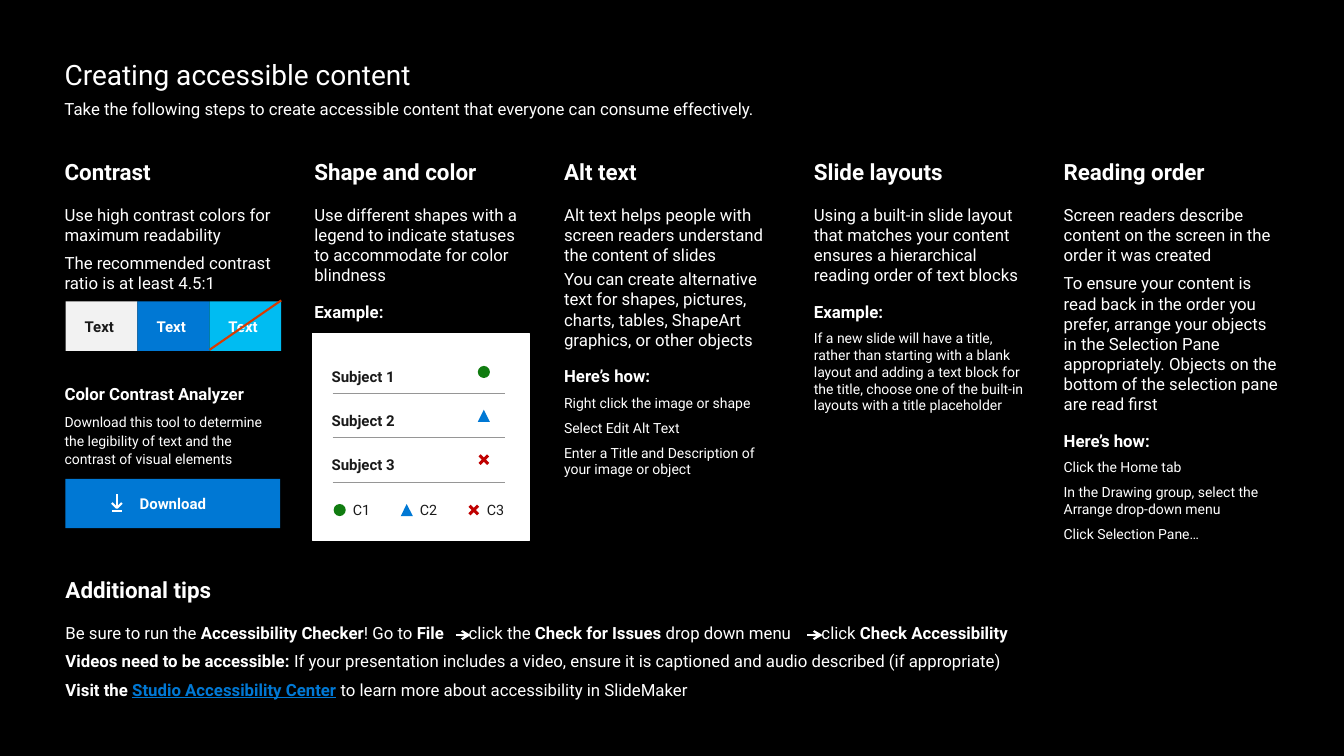
from dataclasses import dataclass
from typing import NamedTuple

from lxml.etree import SubElement
from pptx import Presentation
from pptx.dml.color import RGBColor
from pptx.enum.shapes import MSO_CONNECTOR, MSO_SHAPE as Preset
from pptx.enum.text import MSO_ANCHOR as Anchor, MSO_AUTO_SIZE, PP_ALIGN as Align
from pptx.oxml.ns import qn
from pptx.util import Inches, Pt


@dataclass(frozen=True)
class Theme:
    font: str = "Roboto"
    black: str = "000000"
    white: str = "FFFFFF"
    ink: str = "1A1A1A"
    pale: str = "F2F2F2"
    rule: str = "969696"
    blue: str = "0078D4"
    cyan: str = "00BCF2"
    green: str = "107C10"
    red: str = "C00000"
    orange: str = "D83B01"
    title: float = 20
    heading: float = 16
    body: float = 12
    label: float = 10.7
    legend: float = 10.2
    small: float = 10


class Box(NamedTuple):
    """Left, top, width and height in grid cells."""
    left: float
    top: float
    width: float
    height: float


class Run(NamedTuple):
    text: str
    bold: bool = False
    link: bool = False


class Para(NamedTuple):
    text: str | list[Run]
    style: dict


class Column(NamedTuple):
    heading: str
    height: float
    paras: list[Para]


class Status(NamedTuple):
    subject: str
    code: str
    preset: Preset
    color: str


THEME = Theme()
CELLS_PER_INCH = 10
COLUMN_LEFT, COLUMN_TOP, COLUMN_WIDTH, COLUMN_PITCH = 6.4, 15.7, 21.5, 24.78
HEADING = dict(size=THEME.heading, bold=True, after=6)
LEAD = dict(before=7.8)
NEXT = dict(before=5.8)
SUBHEAD = dict(before=11.6, bold=True)
STEP = dict(before=5.8, size=THEME.small)

COLUMNS = [
    Column("Contrast", 22, [
        Para("Use high contrast colors for maximum readability", LEAD),
        Para("The recommended contrast ratio is at least 4.5:1", NEXT)]),
    Column("Shape and color", 18.8, [
        Para("Use different shapes with a legend to indicate statuses to accommodate "
             "for color blindness", LEAD),
        Para("Example:", SUBHEAD)]),
    Column("Alt text", 38.8, [
        Para("Alt text helps people with screen readers understand the content of slides", LEAD),
        Para("You can create alternative text for shapes, pictures, charts, tables, ShapeArt "
             "graphics, or other objects", dict(before=2.9)),
        Para("Here’s how:", SUBHEAD),
        Para("Right click the image or shape", STEP),
        Para("Select Edit Alt Text", STEP),
        Para("Enter a Title and Description of your image or object", STEP)]),
    Column("Slide layouts", 25.7, [
        Para("Using a built-in slide layout that matches your content ensures a hierarchical "
             "reading order of text blocks", LEAD),
        Para("Example:", SUBHEAD),
        Para("If a new slide will have a title, rather than starting with a blank layout and "
             "adding a text block for the title, choose one of the built-in layouts with a "
             "title placeholder", STEP)]),
    Column("Reading order", 38.8, [
        Para("Screen readers describe content on the screen in the order it was created", LEAD),
        Para("To ensure your content is read back in the order you prefer, arrange your objects "
             "in the Selection Pane appropriately. Objects on the bottom of the selection pane "
             "are read first", NEXT),
        Para("Here’s how:", SUBHEAD),
        Para("Click the Home tab", STEP),
        Para("In the Drawing group, select the Arrange drop-down menu", STEP),
        Para("Click Selection Pane…", STEP)]),
]
TIPS = [
    Para("Additional tips", HEADING),
    Para([Run("Be sure to run the "), Run("Accessibility Checker", True), Run("! Go to "),
          Run("File", True), Run("\tclick the "), Run("Check for Issues ", True),
          Run("drop down menu\tclick "), Run("Check Accessibility", True)],
         dict(before=7.8, tabs=(40.1, 74.5))),
    Para([Run("Videos need to be accessible: ", True),
          Run("If your presentation includes a video, ensure it is captioned and audio "
              "described (if appropriate)")], NEXT),
    Para([Run("Visit the ", True), Run("Studio Accessibility Center", True, True),
          Run(" to learn more about accessibility in SlideMaker")], NEXT),
]
SWATCHES = [(THEME.pale, THEME.ink), (THEME.blue, THEME.white), (THEME.cyan, THEME.white)]
STATUSES = [
    Status("Subject 1", "C1", Preset.OVAL, THEME.green),
    Status("Subject 2", "C2", Preset.ISOSCELES_TRIANGLE, THEME.blue),
    Status("Subject 3", "C3", Preset.CROSS, THEME.red),
]


def cells(count: float) -> int:
    return Inches(count / CELLS_PER_INCH)


def rgb(color: str) -> RGBColor:
    return RGBColor.from_string(color)


def write(frame, text: str | list[Run], *, size: float = THEME.body, bold: bool = False,
          color: str = THEME.white, before: float = 0, after: float = 0, line: float = 1.0,
          align=Align.LEFT, tabs: tuple = ()) -> None:
    """Add one paragraph to the frame, using its empty first one when there is one."""
    para = frame.add_paragraph() if frame.text else frame.paragraphs[0]
    props = para._p.get_or_add_pPr()
    props.set("marL", "0")
    props.set("indent", "0")
    SubElement(props, qn("a:buNone"))
    if tabs:
        stops = SubElement(props, qn("a:tabLst"))
        for stop in tabs:
            SubElement(stops, qn("a:tab"), pos=str(cells(stop)), algn="l")
    para.alignment, para.line_spacing = align, line
    para.space_before, para.space_after = Pt(before), Pt(after)
    for part in [Run(text, bold)] if isinstance(text, str) else text:
        run = para.add_run()
        run.text = part.text
        font = run.font
        font.name, font.size, font.bold = THEME.font, Pt(size), part.bold
        font.underline = part.link
        font.color.rgb = rgb(THEME.blue if part.link else color)


def frame_in(shape, side: float = 0, top: float = 0, bottom: float = 0, anchor=Anchor.TOP):
    frame = shape.text_frame
    frame.word_wrap, frame.auto_size = True, MSO_AUTO_SIZE.NONE
    frame.vertical_anchor = anchor
    frame.margin_left = frame.margin_right = cells(side)
    frame.margin_top, frame.margin_bottom = cells(top), cells(bottom)
    return frame


def add_text(shapes, box: Box, paras: list[Para], holder=None, **margins) -> None:
    """Fill the placeholder given, or a new text box, with paragraphs."""
    place = [cells(length) for length in box]
    holder = holder or shapes.add_textbox(*place)
    holder.left, holder.top, holder.width, holder.height = place
    frame = frame_in(holder, **margins)
    for para in paras:
        write(frame, para.text, **para.style)


def add_preset(shapes, preset: Preset, box: Box, fill: str):
    shape = shapes.add_shape(preset, *[cells(length) for length in box])
    shape.shadow.inherit = False
    shape.fill.solid()
    shape.fill.fore_color.rgb = rgb(fill)
    shape.line.fill.background()
    return shape


def add_mark(shapes, status: Status, left: float, top: float) -> None:
    mark = add_preset(shapes, status.preset, Box(left, top, 1.2, 1.2), status.color)
    if status.preset == Preset.CROSS:
        mark.rotation, mark.adjustments[0] = 45, 0.38


def add_line(shapes, start: tuple, end: tuple, color: str, width: float, arrow=False) -> None:
    line = shapes.add_connector(MSO_CONNECTOR.STRAIGHT, *[cells(v) for v in (*start, *end)])
    line.line.color.rgb, line.line.width = rgb(color), Pt(width)
    if arrow:
        SubElement(line.line._get_or_add_ln(), qn("a:tailEnd"), type="arrow")
    SubElement(line._element.spPr, qn("a:effectLst"))


def add_contrast_swatches(shapes) -> None:
    for i, (fill, ink) in enumerate(SWATCHES):
        swatch = add_preset(shapes, Preset.RECTANGLE, Box(6.5 + 7.13 * i, 29.9, 7.13, 4.9), fill)
        write(frame_in(swatch, 1.9, 1.6, 1.6, Anchor.MIDDLE), "Text",
              size=THEME.label, bold=True, color=ink)
    add_line(shapes, (27.9, 29.8), (20.8, 34.7), THEME.orange, 1.5)


def add_download_button(shapes) -> None:
    button = add_preset(shapes, Preset.RECTANGLE, Box(6.5, 47.5, 21.3, 4.9), THEME.blue)
    write(frame_in(button, 1.6, 1.6, 1.6, Anchor.MIDDLE), "Download",
          size=THEME.label, bold=True, align=Align.CENTER)
    head, *strokes = [[(12.1, 49.9), (11.6, 50.4), (11.1, 49.9)],
                      [(11.6, 50.4), (11.6, 49)], [(11.1, 50.7), (12.1, 50.7)]]
    points = [[(cells(x), cells(y)) for x, y in stroke] for stroke in (head, *strokes)]
    outline = shapes.build_freeform(*points[0][0])
    outline.add_line_segments(points[0][1:], close=False)
    for start, *rest in points[1:]:
        outline.move_to(*start)
        outline.add_line_segments(rest, close=False)
    icon = outline.convert_to_shape()
    icon.shadow.inherit = False
    icon.fill.background()
    icon.line.color.rgb, icon.line.width = rgb(THEME.white), Pt(1.5)


def add_status_card(shapes) -> None:
    card = add_preset(shapes, Preset.RECTANGLE, Box(31, 33.1, 21.5, 20.5), THEME.white)
    card.line.color.rgb, card.line.width = rgb(THEME.white), Pt(0.75)
    subjects = frame_in(card, 1.9, 1.6, 1.6)
    for i, status in enumerate(STATUSES):
        write(subjects, status.subject, size=THEME.label, bold=True, color=THEME.ink,
              line=2.0, after=5.8)
        rule = 39 + 4.45 * i
        add_line(shapes, (33, rule), (50.1, rule), THEME.rule, 0.75)
        add_mark(shapes, status, 47.4, 36.3 + 4.35 * i)
        key = 33.1 + 6.65 * i
        add_mark(shapes, status, key, 50)
        code = Para(status.code, dict(size=THEME.legend, color=THEME.ink))
        add_text(shapes, Box(key, 48.1, 6.5, 4.9), [code], side=1.9, top=1.6, bottom=1.6)


def main() -> None:
    deck = Presentation()
    deck.slide_width, deck.slide_height = cells(133.33), cells(75)
    comparison = deck.slide_layouts[4]
    slide = deck.slides.add_slide(comparison)
    slide.background.fill.solid()
    slide.background.fill.fore_color.rgb = rgb(THEME.black)
    shapes = slide.shapes
    title, *body_holders = slide.placeholders
    bodies = iter(body_holders)

    add_text(shapes, Box(6.4, 5, 60.2, 4.1),
             [Para("Creating accessible content", dict(size=THEME.title))], title, top=0.7)
    add_text(shapes, Box(6.4, 10, 120.6, 1.8),
             [Para("Take the following steps to create accessible content that everyone can "
                   "consume effectively.", dict(line=0.9))])
    for i, column in enumerate(COLUMNS):
        box = Box(COLUMN_LEFT + COLUMN_PITCH * i, COLUMN_TOP, COLUMN_WIDTH, column.height)
        add_text(shapes, box, [Para(column.heading, HEADING), *column.paras], next(bodies, None))
    add_contrast_swatches(shapes.add_group_shape().shapes)
    add_text(shapes, Box(6.4, 38.1, COLUMN_WIDTH, 8.4), [
        Para("Color Contrast Analyzer", dict(bold=True)),
        Para("Download this tool to determine the legibility of text and the contrast of "
             "visual elements", dict(STEP, line=1.1))])
    add_download_button(shapes.add_group_shape().shapes)
    add_status_card(shapes.add_group_shape().shapes)
    add_text(shapes, Box(6.5, 57.2, 120.4, 12.4), TIPS)
    for left in (45.2, 80.1):
        add_line(shapes, (left, 63), (left + 1.5, 63), THEME.white, 1.5, arrow=True)
    deck.save("out.pptx")


if __name__ == "__main__":
    main()
